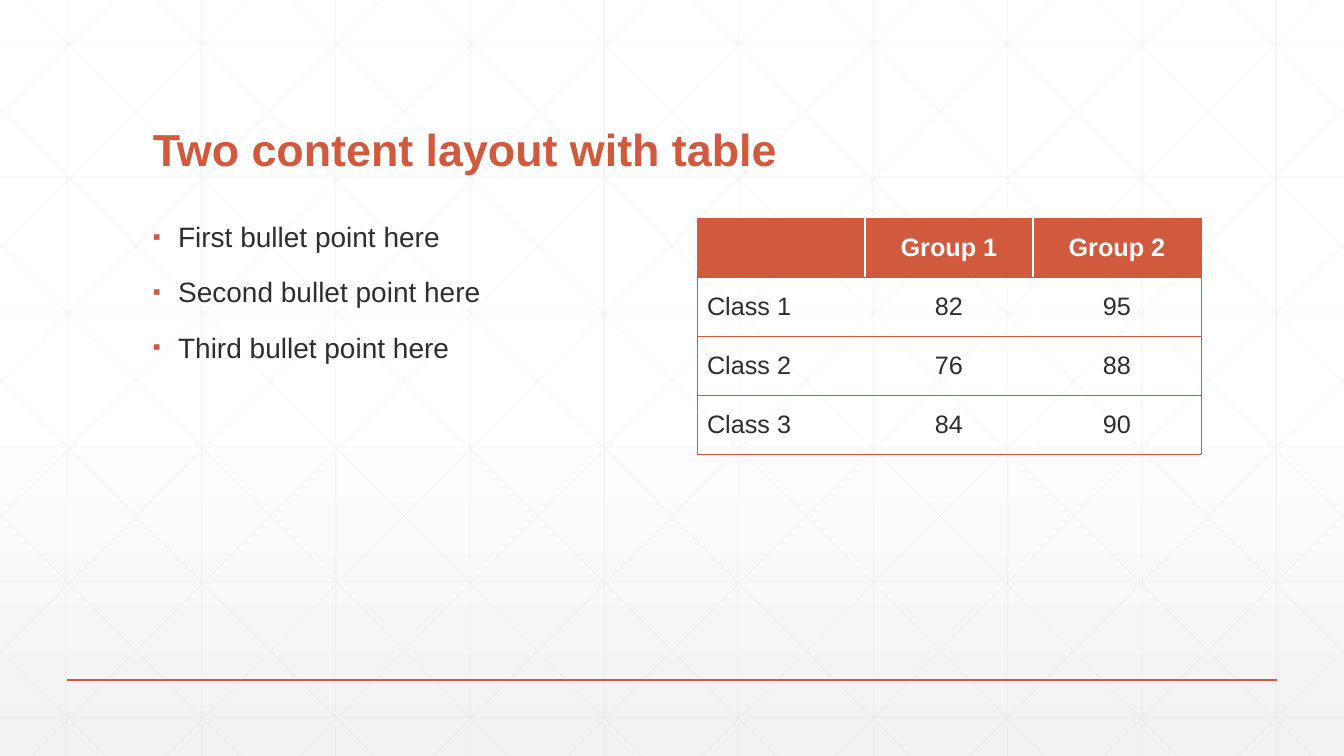
"""Build a slide with a title, a bullet list and a table of class results."""
import pptx
import pptx.dml.color
import pptx.enum.shapes
import pptx.enum.text
import pptx.oxml
import pptx.oxml.ns
import pptx.util

WIDTH, HEIGHT = 1344, 756
SCALE = 12192000 / WIDTH
FONT = "Arial"
ACCENT = pptx.dml.color.RGBColor(0xD1, 0x5A, 0x3E)
INK = pptx.dml.color.RGBColor(0x2D, 0x2E, 0x2D)
WHITE = pptx.dml.color.RGBColor(0xFF, 0xFF, 0xFF)
PALE = pptx.dml.color.RGBColor(0xF2, 0xF2, 0xF2)
GRID = pptx.dml.color.RGBColor(0xD9, 0xD9, 0xD9)
NAMESPACE = pptx.oxml.ns.nsdecls("a")
RESULTS = [
    ["", "Group 1", "Group 2"],
    ["Class 1", "82", "95"],
    ["Class 2", "76", "88"],
    ["Class 3", "84", "90"],
]


def emu(pixels):
    """Turn pixels into EMU."""
    return pptx.util.Emu(round(pixels * SCALE))


def element(markup):
    """Parse a drawing element whose opening tag holds a %s for the namespace."""
    return pptx.oxml.parse_xml(markup % NAMESPACE)


def style(para, size, color, bold=False):
    """Set the font of a paragraph."""
    para.font.name = FONT
    para.font.size = pptx.util.Pt(size)
    para.font.color.rgb = color
    para.font.bold = bold


def add_line(page, start, end, color, width, opacity=100):
    """Draw a straight line without a shadow."""
    line = page.shapes.add_connector(
        pptx.enum.shapes.MSO_CONNECTOR.STRAIGHT, *map(emu, (*start, *end)))
    line.line.color.rgb = color
    line.line.width = pptx.util.Pt(width)
    properties = line._element.spPr
    properties.append(element("<a:effectLst %s/>"))
    if opacity < 100:
        tint = properties.find(".//" + pptx.oxml.ns.qn("a:srgbClr"))
        tint.append(element(f'<a:alpha %s val="{opacity * 1000}"/>'))


def add_background(page):
    """Fade the page from white to pale grey at the foot."""
    fill = page.background.fill
    fill.gradient()
    fill.gradient_angle = 270
    stops = page._element.find(".//" + pptx.oxml.ns.qn("a:gsLst"))
    for stop in list(stops):
        stops.remove(stop)
    for percent, color in ((0, WHITE), (53, WHITE), (100, PALE)):
        stops.append(element(
            f'<a:gs %s pos="{percent * 1000}"><a:srgbClr val="{color}"/></a:gs>'))


def add_grid(page, box):
    """Cover the box with upright, level and crossing diagonal lines."""
    left, top, width, height = box
    right, bottom = left + width, top + height
    lines = [((left + 67 + 134.4 * i, top), (left + 67 + 134.4 * i, bottom))
             for i in range(10)]
    lines += [((left, top + 42 + 135 * i), (right, top + 42 + 135 * i))
              for i in range(6)]
    slope = 1.006
    for i in range(-5, 10):
        offset = 25 + 134 * i
        first = max(0, offset)
        last = min(width, offset + height / slope)
        upper, lower = (top + (x - offset) * slope for x in (first, last))
        lines.append(((left + first, upper), (left + last, lower)))
        lines.append(((right - first, upper), (right - last, lower)))
    for start, end in lines:
        add_line(page, start, end, GRID, 0.5, 25)


def add_text(page, box):
    """Add a wrapping text box and return its text frame."""
    frame = page.shapes.add_textbox(*map(emu, box)).text_frame
    frame.word_wrap = True
    return frame


def add_title(page, box, text):
    """Set the title at the foot of its box."""
    frame = add_text(page, box)
    frame.vertical_anchor = pptx.enum.text.MSO_ANCHOR.BOTTOM
    para = frame.paragraphs[0]
    para.text = text
    para.line_spacing = 0.9
    style(para, 32, ACCENT, True)


def add_bullets(page, box, points):
    """List the points with small square bullets."""
    frame = add_text(page, box)
    for index, point in enumerate(points):
        para = frame.add_paragraph() if index else frame.paragraphs[0]
        para.text = point
        para.line_spacing = 0.9
        para.space_before = pptx.util.Pt(18)
        style(para, 20, INK)
        properties = para._p.get_or_add_pPr()
        indent = pptx.util.Inches(0.25)
        properties.set("marL", str(indent))
        properties.set("indent", str(-indent))
        marks = (f'<a:buClr %s><a:srgbClr val="{ACCENT}"/></a:buClr>',
                 '<a:buSzPct %s val="80000"/>',
                 f'<a:buFont %s typeface="{FONT}"/>',
                 '<a:buChar %s char="▪"/>')
        position = list(properties).index(
            properties.find(pptx.oxml.ns.qn("a:defRPr")))
        for step, mark in enumerate(marks):
            properties.insert(position + step, element(mark))


def add_borders(cell, sides):
    """Draw thin accent borders on the named sides of a cell."""
    properties = cell._tc.get_or_add_tcPr()
    for side in sides:
        properties.append(element(
            f'<a:ln{side} %s w="6350"><a:solidFill><a:srgbClr val="{ACCENT}"/>'
            f'</a:solidFill></a:ln{side}>'))


def add_results(page, box, rows):
    """Add the table with a filled header and ruled rows."""
    count = len(rows[0])
    table = page.shapes.add_table(len(rows), count, *map(emu, box)).table
    table.horz_banding = False
    for row_index, row in enumerate(rows):
        header = row_index == 0
        for column, text in enumerate(row):
            cell = table.cell(row_index, column)
            cell.vertical_anchor = pptx.enum.text.MSO_ANCHOR.MIDDLE
            sides = ["L"] if column == 0 else []
            sides += ["R"] if column == count - 1 else []
            add_borders(cell, sides + ["T", "B"])
            if header:
                cell.fill.solid()
                cell.fill.fore_color.rgb = ACCENT
            else:
                cell.fill.background()
            para = cell.text_frame.paragraphs[0]
            para.text = text
            if column:
                para.alignment = pptx.enum.text.PP_ALIGN.CENTER
            style(para, 18, WHITE if header else INK, header)


def build_content_slide(page, box):
    """Place the parts of the two-column slide in the box."""
    left, top, width, height = box
    add_background(page)
    add_grid(page, box)
    add_line(page, (left + 67, top + 680), (left + width - 67, top + 680), ACCENT, 1)
    add_title(page, (left + 143, top + 55, 1058, 126),
              "Two content layout with table")
    add_bullets(page, (left + 143, top + 218, 504, 420),
                [f"{rank} bullet point here" for rank in ("First", "Second", "Third")])
    add_results(page, (left + 697, top + 218, 504, 236), RESULTS)


deck = pptx.Presentation()
deck.slide_width, deck.slide_height = emu(WIDTH), emu(HEIGHT)
build_content_slide(deck.slides.add_slide(deck.slide_layouts[6]), (0, 0, WIDTH, HEIGHT))
deck.save("out.pptx")
